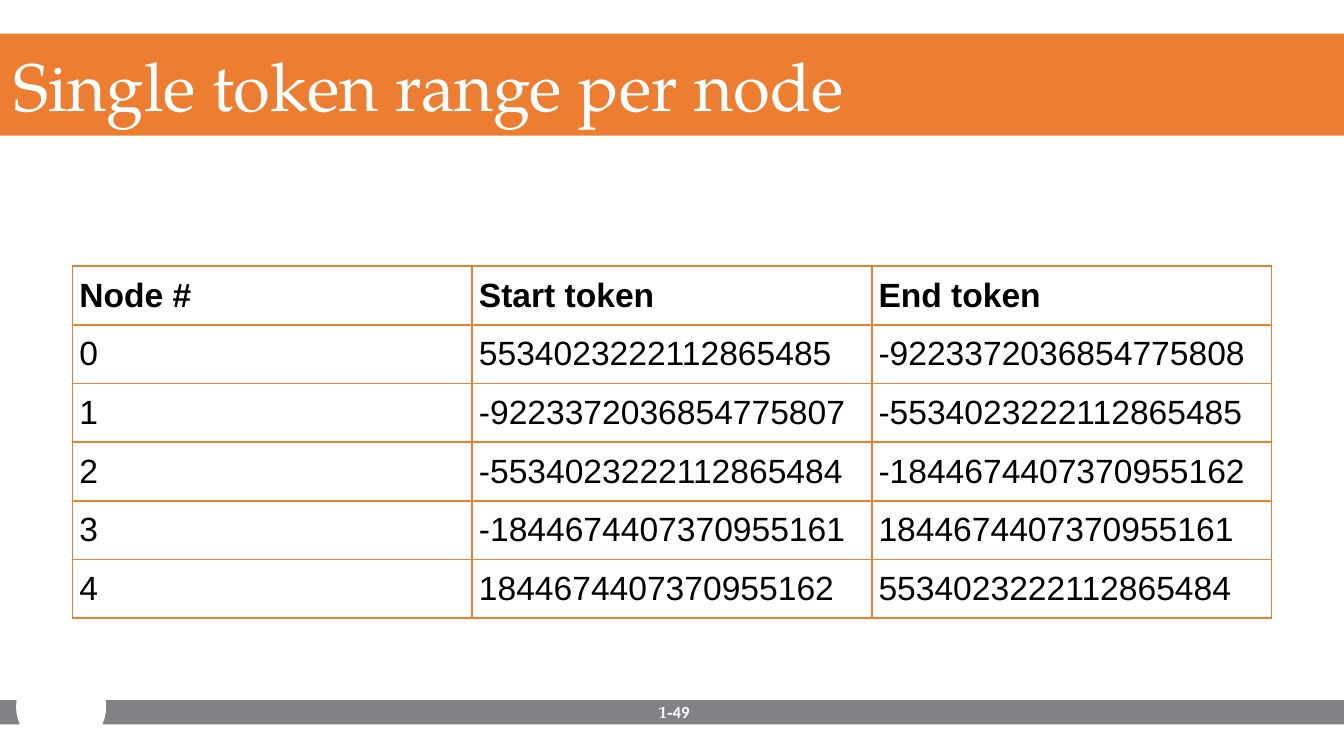
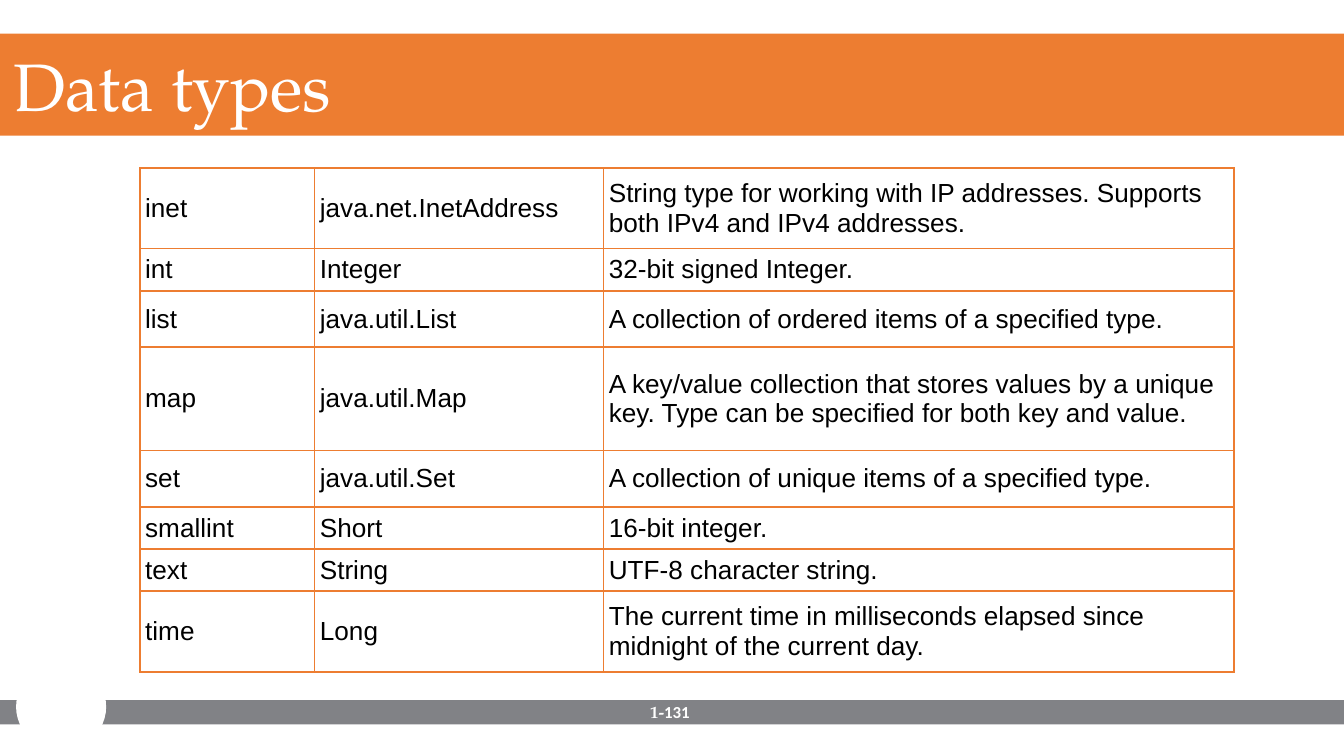
from lxml import etree
from pptx import Presentation
from pptx.dml.color import RGBColor
from pptx.enum.shapes import MSO_SHAPE
from pptx.enum.text import MSO_ANCHOR, PP_ALIGN
from pptx.oxml.ns import qn
from pptx.util import Inches, Pt

RECTANGLE, OVAL, PENTAGON = MSO_SHAPE.RECTANGLE, MSO_SHAPE.OVAL, MSO_SHAPE.PENTAGON
MIDDLE = MSO_ANCHOR.MIDDLE
LEFT, RIGHT = PP_ALIGN.LEFT, PP_ALIGN.RIGHT

ORANGE, GRAY, WHITE, BLACK = "ED7D31", "818286", "FFFFFF", "000000"
SERIF, SANS, NUMBER_FONT = "TeX Gyre Pagella", "Arial", "Calibri"

# Shape, position and fill of the parts every slide shares
FRAME = [
    (RECTANGLE, (0, 5.21, 10, 0.18), GRAY),
    (OVAL, (0.12, 4.94, 0.67, 0.64), WHITE),
    (PENTAGON, (0, 0.25, 11.36, 0.76), ORANGE),
]

SLIDES = [
    {
        "title": "Single token range per node",
        "number": "49",
        "position": (0.54, 1.98),
        "columns": [8.92 / 3] * 3,
        "row_heights": [2.62 / 6] * 6,
        "size": 18,
        "margin": 0.05,
        "header": True,
        "rows": [
            ("Node #", "Start token", "End token"),
            ("0", "5534023222112865485", "-9223372036854775808"),
            ("1", "-9223372036854775807", "-5534023222112865485"),
            ("2", "-5534023222112865484", "-1844674407370955162"),
            ("3", "-1844674407370955161", "1844674407370955161"),
            ("4", "1844674407370955162", "5534023222112865484"),
        ],
    },
    {
        "title": "Data types",
        "number": "131",
        "position": (1.04, 1.25),
        "columns": [1.3, 2.15, 4.69],
        "row_heights": [0.6, 0.25, 0.42, 0.77, 0.42, 0.25, 0.25, 0.6],
        "size": 14,
        "margin": 0.04,
        "header": False,
        "rows": [
            ("inet", "java.net.InetAddress",
             "String type for working with IP addresses. Supports both IPv4 and IPv4 addresses."),
            ("int", "Integer", "32-bit signed Integer."),
            ("list", "java.util.List", "A collection of ordered items of a specified type."),
            ("map", "java.util.Map",
             "A key/value collection that stores values by a unique key. "
             "Type can be specified for both key and value."),
            ("set", "java.util.Set", "A collection of unique items of a specified type."),
            ("smallint", "Short", "16-bit integer."),
            ("text", "String", "UTF-8 character string."),
            ("time", "Long",
             "The current time in milliseconds elapsed since midnight of the current day."),
        ],
    },
]


def rgb(color):
    return RGBColor.from_string(color)


def add_run(paragraph, text, color, **font_values):
    run = paragraph.add_run()
    run.text = text
    run.font.color.rgb = rgb(color)
    for name, value in font_values.items():
        setattr(run.font, name, value)
    return run


presentation = Presentation()
presentation.slide_width = Inches(10)
presentation.slide_height = Inches(10 * 9 / 16)

for content in SLIDES:
    slide = presentation.slides.add_slide(presentation.slide_layouts[6])

    for kind, box, color in FRAME:
        shape = slide.shapes.add_shape(kind, *map(Inches, box))
        shape.shadow.inherit = False
        shape.fill.solid()
        shape.fill.fore_color.rgb = rgb(color)
        shape.line.fill.background()

    # The title sits in the last frame shape, the orange band
    title_frame = shape.text_frame
    title_frame.vertical_anchor = MIDDLE
    title_frame.margin_left = Inches(0.1)
    title_frame.margin_top = title_frame.margin_bottom = 0
    title_frame.paragraphs[0].alignment = LEFT
    add_run(title_frame.paragraphs[0], content["title"], WHITE, size=Pt(36), name=SERIF)

    number_box = slide.shapes.add_textbox(*map(Inches, (4.62, 5.13, 0.61, 0.34)))
    number_frame = number_box.text_frame
    number_frame.word_wrap = True
    number_frame.vertical_anchor = MIDDLE
    paragraph = number_frame.paragraphs[0]
    paragraph.alignment = RIGHT
    for text, font_name, spacing in [
        ("1", SERIF, -10), ("-", SERIF, -20), (content["number"], NUMBER_FONT, 0)
    ]:
        run = add_run(paragraph, text, WHITE, size=Pt(9), bold=True, name=font_name)
        run._r.get_or_add_rPr().set("spc", str(spacing))

    columns, row_heights = content["columns"], content["row_heights"]
    table_box = (*content["position"], sum(columns), sum(row_heights))
    table = slide.shapes.add_table(
        len(row_heights), len(columns), *map(Inches, table_box)
    ).table
    table.first_row = content["header"]
    table.horz_banding = False
    for column, width in zip(table.columns, columns):
        column.width = Inches(width)
    for row, height in zip(table.rows, row_heights):
        row.height = Inches(height)

    for row_index, texts in enumerate(content["rows"]):
        for column_index, text in enumerate(texts):
            cell = table.cell(row_index, column_index)
            cell.vertical_anchor = MIDDLE
            for side in ("left", "top", "right", "bottom"):
                setattr(cell, f"margin_{side}", Inches(content["margin"]))
            cell.fill.background()
            add_run(
                cell.text_frame.paragraphs[0], text, BLACK, size=Pt(content["size"]),
                name=SANS, bold=content["header"] and row_index == 0,
            )
            properties = cell._tc.get_or_add_tcPr()
            for index, edge in enumerate(("a:lnL", "a:lnR", "a:lnT", "a:lnB")):
                line = etree.Element(qn(edge), w=str(Pt(1)))
                fill = etree.SubElement(line, qn("a:solidFill"))
                etree.SubElement(fill, qn("a:srgbClr"), val=ORANGE)
                properties.insert(index, line)

presentation.save("out.pptx")
